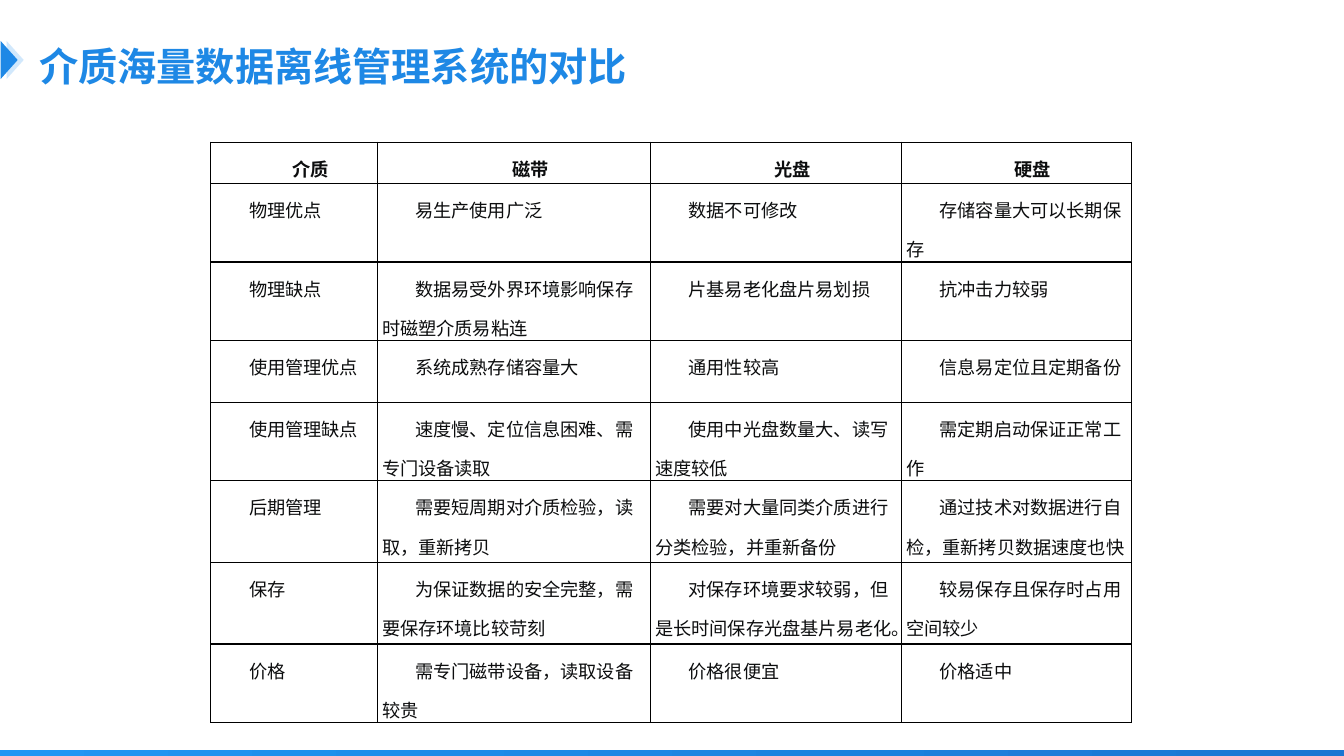
from dataclasses import dataclass

import lxml.etree
import pptx
import pptx.dml.color
import pptx.enum.shapes
import pptx.enum.text
import pptx.oxml.ns
import pptx.util

GRID_COLUMNS, GRID_ROWS = 1333, 750
CELL = pptx.util.Inches(0.01)  # side of one grid square


@dataclass(frozen=True)
class Theme:
    font: str = "Noto Sans CJK SC"
    title: str = "1E88E5"
    echo: str = "1D8CF0"
    bar_start: str = "2196F3"
    bar_end: str = "1976D2"
    ink: str = "0C0D0E"
    rule: str = "000000"
    title_size: int = 28
    cell_size: int = 13


@dataclass(frozen=True)
class Box:
    """A place on the grid, in columns and rows."""
    column: int
    row: int
    columns: int
    rows: int

    def emu(self) -> tuple[int, int, int, int]:
        return (self.column * CELL, self.row * CELL, self.columns * CELL, self.rows * CELL)


@dataclass(frozen=True)
class Chevron:
    box: Box
    color: str
    opacity: int


THEME = Theme()
TITLE_BOX = Box(29, 15, 1100, 79)
FOOTER_BOX = Box(0, 744, GRID_COLUMNS, 8)
CHEVRONS = (
    Chevron(Box(-10, 51, 38, 17), THEME.title, 100),
    Chevron(Box(-4, 51, 38, 17), THEME.echo, 20),
)
MEDIA_WIDTHS = (165, 271, 249, 228)
ASPECT_HEIGHTS = (41, 41, 61, 61, 61, 81, 81, 41)
COMPARISON_BOX = Box(209, 141, sum(MEDIA_WIDTHS), sum(ASPECT_HEIGHTS))
COMPARISON = (
    ("介质", "磁带", "光盘", "硬盘"),
    ("物理优点", "易生产使用广泛", "数据不可修改", "存储容量大可以长期保存"),
    ("物理缺点", "数据易受外界环境影响保存时磁塑介质易粘连", "片基易老化盘片易划损", "抗冲击力较弱"),
    ("使用管理优点", "系统成熟存储容量大", "通用性较高", "信息易定位且定期备份"),
    ("使用管理缺点", "速度慢、定位信息困难、需专门设备读取", "使用中光盘数量大、读写速度较低",
     "需定期启动保证正常工作"),
    ("后期管理", "需要短周期对介质检验，读取，重新拷贝", "需要对大量同类介质进行分类检验，并重新备份",
     "通过技术对数据进行自检，重新拷贝数据速度也快"),
    ("保存", "为保证数据的安全完整，需要保存环境比较苛刻", "对保存环境要求较弱，但是长时间保存光盘基片易老化。",
     "较易保存且保存时占用空间较少"),
    ("价格", "需专门磁带设备，读取设备较贵", "价格很便宜", "价格适中"),
)


def rgb(color: str) -> pptx.dml.color.RGBColor:
    return pptx.dml.color.RGBColor.from_string(color)


def add_tag(parent, tag: str, **attributes: str):
    return lxml.etree.SubElement(parent, pptx.oxml.ns.qn(tag), attributes)


def set_font(paragraph, size: int, color: str, bold: bool) -> None:
    font = paragraph.font
    font.size = pptx.util.Pt(size)
    font.bold = bold
    font.color.rgb = rgb(color)
    font.name = THEME.font
    # East Asian text takes its own typeface entry
    properties = paragraph._p.pPr.find(pptx.oxml.ns.qn("a:defRPr"))
    add_tag(properties, "a:ea", typeface=THEME.font)


def add_plain_shape(slide, kind, box: Box):
    shape = slide.shapes.add_shape(kind, *box.emu())
    shape.shadow.inherit = False
    shape.line.fill.background()
    return shape


def add_footer_bar(slide) -> None:
    bar = add_plain_shape(slide, pptx.enum.shapes.MSO_SHAPE.RECTANGLE, FOOTER_BOX)
    bar.fill.gradient()
    bar.fill.gradient_angle = 0
    for stop, color in zip(bar.fill.gradient_stops, (THEME.bar_start, THEME.bar_end)):
        stop.color.rgb = rgb(color)


def add_chevron(slide, chevron: Chevron) -> None:
    marker = add_plain_shape(slide, pptx.enum.shapes.MSO_SHAPE.ISOSCELES_TRIANGLE, chevron.box)
    marker.rotation = 90
    marker.fill.solid()
    marker.fill.fore_color.rgb = rgb(chevron.color)
    if chevron.opacity < 100:
        color = marker._element.spPr.find(".//" + pptx.oxml.ns.qn("a:srgbClr"))
        add_tag(color, "a:alpha", val=str(chevron.opacity * 1000))


def add_title(slide, wording: str) -> None:
    title = slide.shapes.title
    title.left, title.top, title.width, title.height = TITLE_BOX.emu()
    title.text_frame.text = wording
    title.text_frame.auto_size = pptx.enum.text.MSO_AUTO_SIZE.NONE
    title.text_frame.vertical_anchor = pptx.enum.text.MSO_ANCHOR.BOTTOM
    heading = title.text_frame.paragraphs[0]
    heading.alignment = pptx.enum.text.PP_ALIGN.LEFT
    heading.line_spacing = pptx.util.Pt(43)
    set_font(heading, THEME.title_size, THEME.title, True)


def fill_cell(cell, wording: str, is_header: bool) -> None:
    cell.text = wording
    cell.margin_left = cell.margin_right = 5 * CELL
    cell.margin_top = cell.margin_bottom = 0
    entry = cell.text_frame.paragraphs[0]
    entry.alignment = pptx.enum.text.PP_ALIGN.CENTER if is_header else pptx.enum.text.PP_ALIGN.LEFT
    entry.line_spacing = 1.5
    entry.space_after = pptx.util.Pt(6)
    entry._p.get_or_add_pPr().set("marL", "0")
    entry._p.pPr.set("indent", str(33 * CELL))
    set_font(entry, THEME.cell_size, THEME.ink, is_header)
    # Borders on all four sides
    properties = cell._tc.get_or_add_tcPr()
    for side in ("a:lnL", "a:lnR", "a:lnT", "a:lnB"):
        border = add_tag(properties, side, w=str(pptx.util.Pt(1)))
        add_tag(add_tag(border, "a:solidFill"), "a:srgbClr", val=THEME.rule)
    cell.fill.background()


def add_comparison(slide) -> None:
    table = slide.shapes.add_table(
        len(ASPECT_HEIGHTS), len(MEDIA_WIDTHS), *COMPARISON_BOX.emu()).table
    table.horz_banding = False
    for column, width in zip(table.columns, MEDIA_WIDTHS):
        column.width = width * CELL
    for row, height in zip(table.rows, ASPECT_HEIGHTS):
        row.height = height * CELL
    for row_index, aspect in enumerate(COMPARISON):
        for column_index, wording in enumerate(aspect):
            fill_cell(table.cell(row_index, column_index), wording, row_index == 0)


def main() -> None:
    deck = pptx.Presentation()
    deck.slide_width, deck.slide_height = GRID_COLUMNS * CELL, GRID_ROWS * CELL
    slide = deck.slides.add_slide(deck.slide_layouts.get_by_name("Title Only"))

    # Frame of the page
    add_footer_bar(slide)
    for chevron in CHEVRONS:
        add_chevron(slide, chevron)

    # Content
    add_title(slide, "介质海量数据离线管理系统的对比")
    add_comparison(slide)
    deck.save("out.pptx")


if __name__ == "__main__":
    main()
